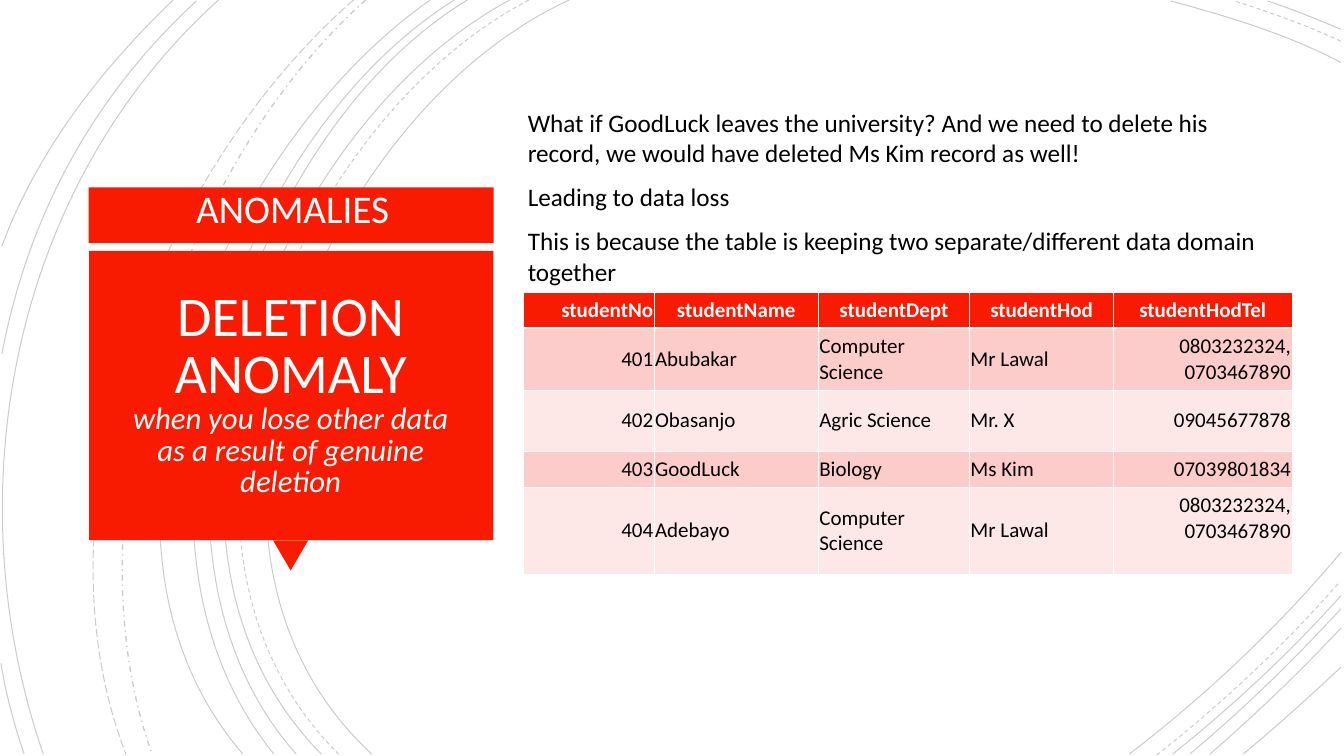
from lxml.etree import SubElement
from pptx import Presentation
from pptx.dml.color import RGBColor
from pptx.enum.dml import MSO_LINE
from pptx.enum.shapes import MSO_SHAPE as SHAPE
from pptx.enum.text import MSO_ANCHOR as ANCHOR, MSO_AUTO_SIZE as AUTO_SIZE, PP_ALIGN as ALIGN
from pptx.oxml.ns import qn
from pptx.util import Pt

BLACK = RGBColor(0x00, 0x00, 0x00)
WHITE = RGBColor(0xFF, 0xFF, 0xFF)
OFF_WHITE = RGBColor(0xFF, 0xFE, 0xFF)
RED = RGBColor(0xF8, 0x1B, 0x02)
PINK = RGBColor(0xFC, 0xCC, 0xCB)
PALE_PINK = RGBColor(0xFE, 0xE7, 0xE7)
FONT = "Calibri"
CURVE_BOTTOM = 538.6
CURVE_RIGHT = 958.3

# Curves from the top edge to the bottom edge: x0, x1, y1, x2, y2, x3
SWEEPS = [
    (MSO_LINE.SOLID, 0.75, [
        (406.8, 226.8, 82.8, 103, 388.8, 265.7),
        (364.3, 194.4, 91.4, 79.2, 386.6, 229.7),
        (334, 175.7, 95.8, 79.2, 389.5, 211.7),
        (324.7, 166.3, 99.4, 69.8, 383.8, 195.8),
        (307.4, 156.2, 105.8, 38.2, 380.9, 173.5),
        (156.2, 7.9, 133.2, -33.1, 352.8, 31)]),
    (MSO_LINE.DASH, 0.75, [(378, 205.2, 90, 88.6, 386.6, 242)]),
    (MSO_LINE.DASH_DOT, 1, [(261.4, 126.7, 119.5, 46.8, 366.5, 108.7)]),
    (MSO_LINE.LONG_DASH, 0.75, [(252.7, 113, 121.7, 20.9, 359.3, 90)]),
]
# Short curves in the corners: four points each
CORNER_ARCS = [
    (MSO_LINE.SOLID, [
        ((CURVE_RIGHT, 44.6), (920.2, 24.5), (877, 11.5), (836.6, 0.7)),
        ((CURVE_RIGHT, 20.9), (941, 13.7), (923.8, 6.5), (905.8, 0.7)),
        ((807.1, CURVE_BOTTOM), (861.8, 496.8), (913.7, 447.8), (CURVE_RIGHT, 394.6)),
        ((838.1, CURVE_BOTTOM), (880.6, 504.7), (921.6, 466.6), (CURVE_RIGHT, 425.5)),
        ((850.3, CURVE_BOTTOM), (888.5, 506.9), (924.5, 471.6), (CURVE_RIGHT, 434.9)),
        ((864.7, CURVE_BOTTOM), (897.1, 510.5), (928.8, 480.2), (CURVE_RIGHT, 448.6)),
        ((888.5, CURVE_BOTTOM), (912.2, 519.1), (935.3, 498.2), (CURVE_RIGHT, 476.6)),
        ((140.4, 0.7), (66.2, 69.1), (20.2, 154.1), (1.4, 252.7)),
        ((0.7, 473.8), (4.3, 496.1), (10.1, 517.7), (17.3, CURVE_BOTTOM)),
        ((123.8, 0), (72, 49.7), (26.6, 108), (1.4, 175.7))]),
    (MSO_LINE.DASH, [
        ((CURVE_RIGHT, 29.5), (933.8, 18), (907.2, 8.6), (882, 0.7)),
        ((826.6, 539.3), (873.4, 502.6), (918, 460.8), (957.6, 415.4))]),
]

BODY = [
    "What if GoodLuck leaves the university? And we need to delete his record, "
    "we would have deleted Ms Kim record as well!",
    "Leading to data loss",
    "This is because the table is keeping two separate/different data domain together",
]
STUDENTS = [
    ("studentNo", "studentName", "studentDept", "studentHod", "studentHodTel"),
    ("401", "Abubakar", "Computer Science", "Mr Lawal", "0803232324, 0703467890"),
    ("402", "Obasanjo", "Agric Science", "Mr. X", "09045677878"),
    ("403", "GoodLuck", "Biology", "Ms Kim", "07039801834"),
    ("404", "Adebayo", "Computer Science", "Mr Lawal", "0803232324, 0703467890"),
]
COL_WIDTHS = (93.6, 117.4, 108, 103, 127.4)
ROW_HEIGHTS = (24.8, 44.1, 44.1, 24.8, 54.7)


def box(x, y, w, h):
    return Pt(x), Pt(y), Pt(w), Pt(h)


def add_curve(slide, points, dash, width=0.75):
    """Draw one faint cubic curve: start, two control points, end."""
    start, *rest = [(Pt(x), Pt(y)) for x, y in points]
    builder = slide.shapes.build_freeform(*start)
    builder.add_line_segments(rest, close=False)
    s = builder.convert_to_shape()
    path = s._element.find(".//" + qn("a:path"))
    legs = path.findall(qn("a:lnTo"))
    bezier = SubElement(path, qn("a:cubicBezTo"))
    for leg in legs:
        bezier.append(leg[0])
        path.remove(leg)
    s.shadow.inherit = False
    s.fill.background()
    s.line.color.rgb = BLACK
    s.line.width = Pt(width)
    s.line.dash_style = dash
    color = s._element.spPr.xpath("a:ln//a:srgbClr")[0]
    SubElement(color, qn("a:alpha")).set("val", "20000")


def add_red_shape(slide, kind, x, y, w, h, rotation=0):
    s = slide.shapes.add_shape(kind, *box(x, y, w, h))
    s.shadow.inherit = False
    s.fill.solid()
    s.fill.fore_color.rgb = RED
    s.line.fill.background()
    s.rotation = rotation


def set_frame(tf, margin_x, margin_y):
    tf.word_wrap = True
    tf.auto_size = AUTO_SIZE.NONE
    tf.vertical_anchor = ANCHOR.MIDDLE
    tf.margin_left = tf.margin_right = Pt(margin_x)
    tf.margin_top = tf.margin_bottom = Pt(margin_y)


def set_font(font, size, color):
    font.name = FONT
    font.size = Pt(size)
    font.color.rgb = color


def add_heading(slide):
    tf = slide.shapes.add_textbox(*box(83.5, 131, 251.3, 40.3)).text_frame
    set_frame(tf, 18, 0)
    p = tf.paragraphs[0]
    p.text = "ANOMALIES"
    p.alignment = ALIGN.CENTER
    p.line_spacing = 0.85
    set_font(p.font, 28, OFF_WHITE)


def add_title(slide):
    s = slide.shapes.title
    slide.shapes._spTree.append(s._element)  # in front of the red panel
    s.left, s.top, s.width, s.height = box(69.8, 185, 275.8, 193.7)
    set_frame(s.text_frame, 18, 18)
    p = s.text_frame.paragraphs[0]
    p.text = "DELETION ANOMALY\vwhen you lose other data as a result of genuine deletion"
    p.alignment = ALIGN.CENTER
    p.line_spacing = 0.85
    set_font(p.font, 40, OFF_WHITE)
    name, meaning = p.runs
    set_font(name.font, 40, OFF_WHITE)
    set_font(meaning.font, 22, OFF_WHITE)
    meaning.font.italic = True


def add_body(slide):
    tf = slide.shapes.add_textbox(*box(370.1, 71.2, 543.6, 138.2)).text_frame
    set_frame(tf, 7.2, 3.6)
    for i, text in enumerate(BODY):
        p = tf.add_paragraph() if i else tf.paragraphs[0]
        p.text = text
        if i:
            p.space_before = Pt(10)
        set_font(p.font, 18, BLACK)


def set_border(cell, side, width):
    ln = SubElement(cell._tc.get_or_add_tcPr(), qn(f"a:ln{side}"), w=str(Pt(width)))
    fill = SubElement(ln, qn("a:solidFill"))
    SubElement(fill, qn("a:srgbClr"), val=str(WHITE))


def fill_cell(cell, text, row, col):
    header = row == 0
    cell.vertical_anchor = ANCHOR.MIDDLE
    cell.margin_left = cell.margin_right = Pt(0.7)
    cell.margin_top = cell.margin_bottom = Pt(3.6)
    for side in "LRTB":
        thick = (row, side) in ((0, "B"), (1, "T"))
        set_border(cell, side, 1.5 if thick else 0.45)
    cell.fill.solid()
    cell.fill.fore_color.rgb = RED if header else PINK if row % 2 else PALE_PINK
    p = cell.text_frame.paragraphs[0]
    p.text = text
    if col == 0 or (col == 4 and not header):
        p.alignment = ALIGN.RIGHT
    else:
        p.alignment = ALIGN.CENTER if header else ALIGN.LEFT
    set_font(p.font, 15, WHITE if header else BLACK)
    p.font.bold = header


def add_students(slide):
    area = box(373.9, 208.8, sum(COL_WIDTHS), sum(ROW_HEIGHTS))
    table = slide.shapes.add_table(len(STUDENTS), len(COL_WIDTHS), *area).table
    for column, width in zip(table.columns, COL_WIDTHS):
        column.width = Pt(width)
    for r, (values, height) in enumerate(zip(STUDENTS, ROW_HEIGHTS)):
        table.rows[r].height = Pt(height)
        for c, text in enumerate(values):
            fill_cell(table.cell(r, c), text, r, c)
    table.cell(4, 4).margin_bottom = Pt(21.6)


def main():
    prs = Presentation()
    prs.slide_width, prs.slide_height = Pt(960.5), Pt(540)
    slide = prs.slides.add_slide(prs.slide_layouts[5])
    for dash, width, sweeps in SWEEPS:
        for x0, x1, y1, x2, y2, x3 in sweeps:
            add_curve(slide, ((x0, 0), (x1, y1), (x2, y2), (x3, CURVE_BOTTOM)), dash, width)
    for dash, arcs in CORNER_ARCS:
        for points in arcs:
            add_curve(slide, points, dash)
    add_red_shape(slide, SHAPE.RECTANGLE, 63.4, 133.9, 289.4, 39.6)
    add_red_shape(slide, SHAPE.ISOSCELES_TRIANGLE, 195.1, 385.9, 25.2, 21.6, rotation=180)
    add_red_shape(slide, SHAPE.RECTANGLE, 63.7, 179.3, 289, 206.6)
    add_body(slide)
    add_students(slide)
    add_title(slide)
    add_heading(slide)
    prs.save("out.pptx")


if __name__ == "__main__":
    main()
